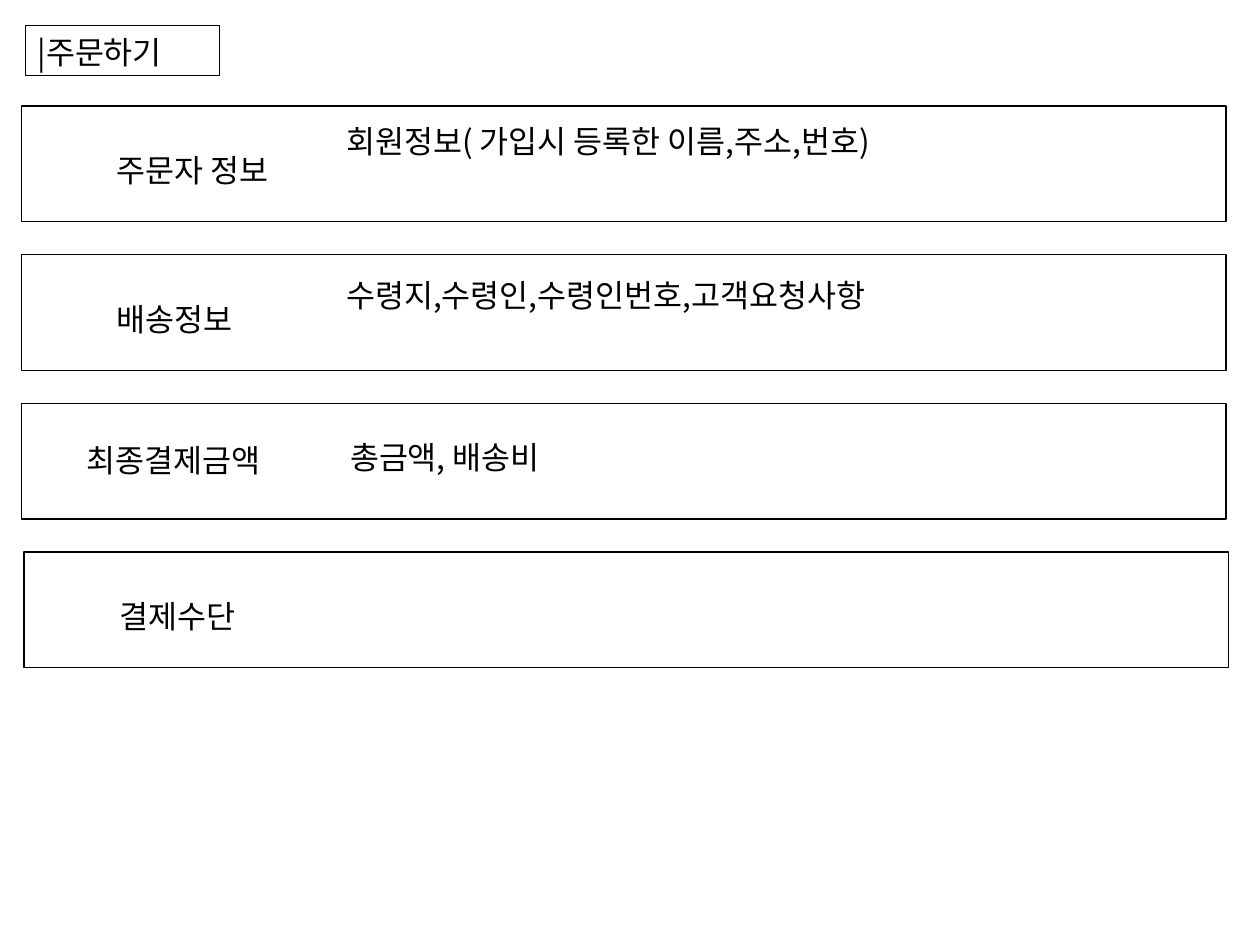
from dataclasses import dataclass

from lxml import etree
from pptx import Presentation
from pptx.dml.color import RGBColor
from pptx.enum import shapes, text
from pptx.oxml.ns import qn
from pptx.util import Inches, Pt

FONT = "Noto Sans CJK KR"
BLACK = "000000"
ROW_TOP, ROW_STEP = 0.84, 1.18
ROW_WIDTH, ROW_HEIGHT = 9.56, 0.92
TEXT_HEIGHT = 0.4


@dataclass
class Label:
    words: str
    left: float
    top: float
    width: float
    wrap: bool = False


@dataclass
class Row:
    left: float
    labels: list[Label]


def color(value: str) -> RGBColor:
    return RGBColor.from_string(value)


def add_frame(slide, left: float, top: float, width: float, height: float) -> None:
    shape = slide.shapes.add_shape(
        shapes.MSO_SHAPE.RECTANGLE,
        Inches(left), Inches(top), Inches(width), Inches(height))
    shape.shadow.inherit = False
    shape.fill.background()
    shape.line.color.rgb = color(BLACK)
    shape.line.width = Pt(0.75)


def add_label(slide, label: Label) -> None:
    box = slide.shapes.add_textbox(
        Inches(label.left), Inches(label.top), Inches(label.width), Inches(TEXT_HEIGHT))
    frame = box.text_frame
    frame.word_wrap = label.wrap
    frame.auto_size = text.MSO_AUTO_SIZE.SHAPE_TO_FIT_TEXT
    run = frame.paragraphs[0].add_run()
    run.text = label.words
    run.font.size = Pt(18)
    run.font.name = FONT
    run.font.color.rgb = color(BLACK)
    # Korean glyphs take the East Asian font
    etree.SubElement(run.font._element, qn("a:ea")).set("typeface", FONT)


ROWS = [
    Row(0.17, [Label("주문자 정보", 0.83, 1.15, 1.55),
               Label("회원정보( 가입시 등록한 이름,주소,번호)", 2.65, 0.92, 6.33, True)]),
    Row(0.17, [Label("배송정보", 0.83, 2.33, 1.21),
               Label("수령지,수령인,수령인번호,고객요청사항", 2.65, 2.14, 4.66, True)]),
    Row(0.17, [Label("최종결제금액", 0.59, 3.45, 1.72),
               Label("총금액, 배송비", 2.68, 3.43, 4.57, True)]),
    Row(0.19, [Label("결제수단", 0.85, 4.69, 1.21)]),
]

presentation = Presentation()
presentation.slide_width, presentation.slide_height = Inches(10), Inches(7.5)
slide = presentation.slides.add_slide(presentation.slide_layouts[6])

# Page heading
add_frame(slide, 0.2, 0.2, 1.54, 0.4)
add_label(slide, Label("|주문하기", 0.2, 0.21, 1.26, True))

# Order form sections
for index, row in enumerate(ROWS):
    add_frame(slide, row.left, ROW_TOP + index * ROW_STEP, ROW_WIDTH, ROW_HEIGHT)
    for label in row.labels:
        add_label(slide, label)

presentation.save("out.pptx")
